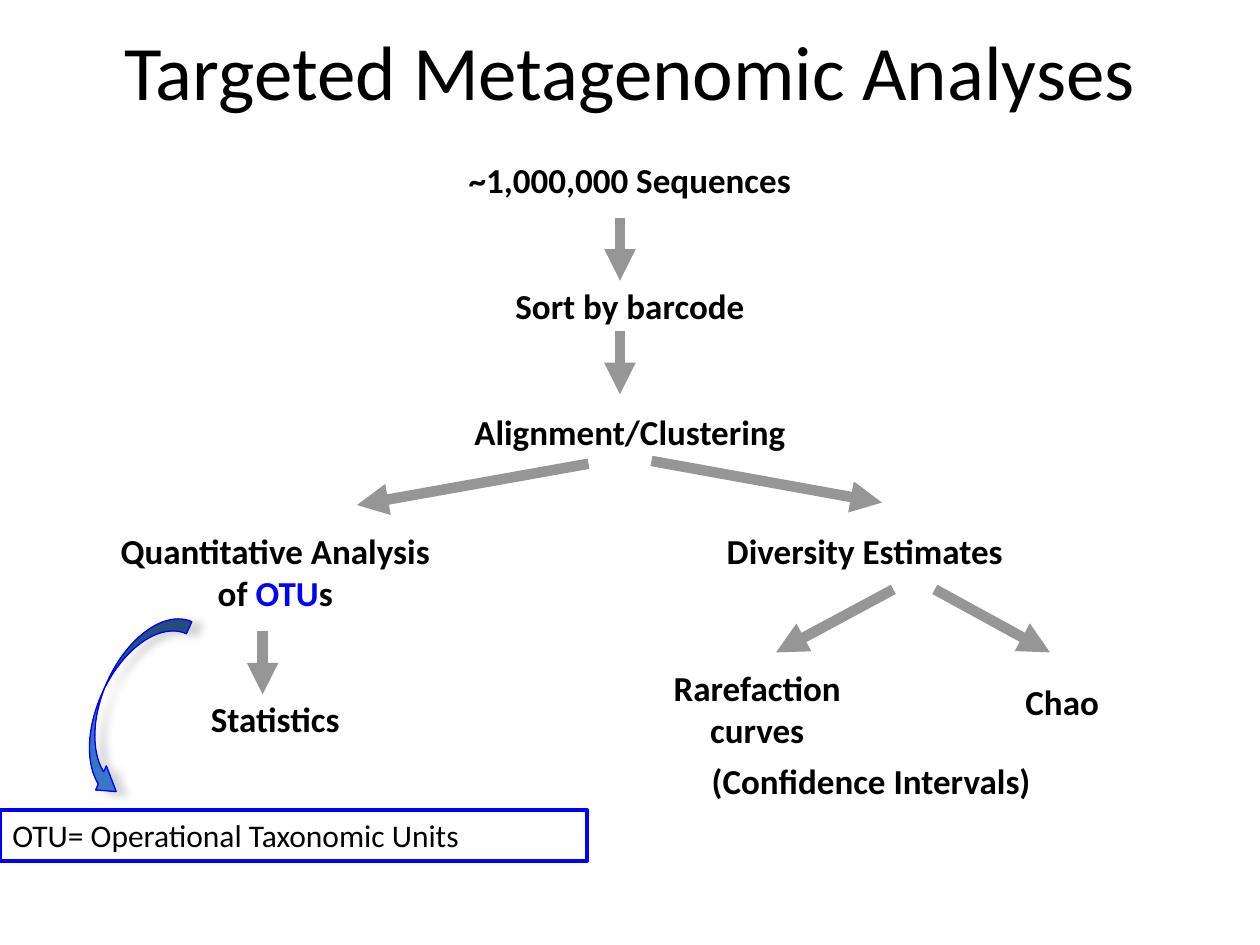
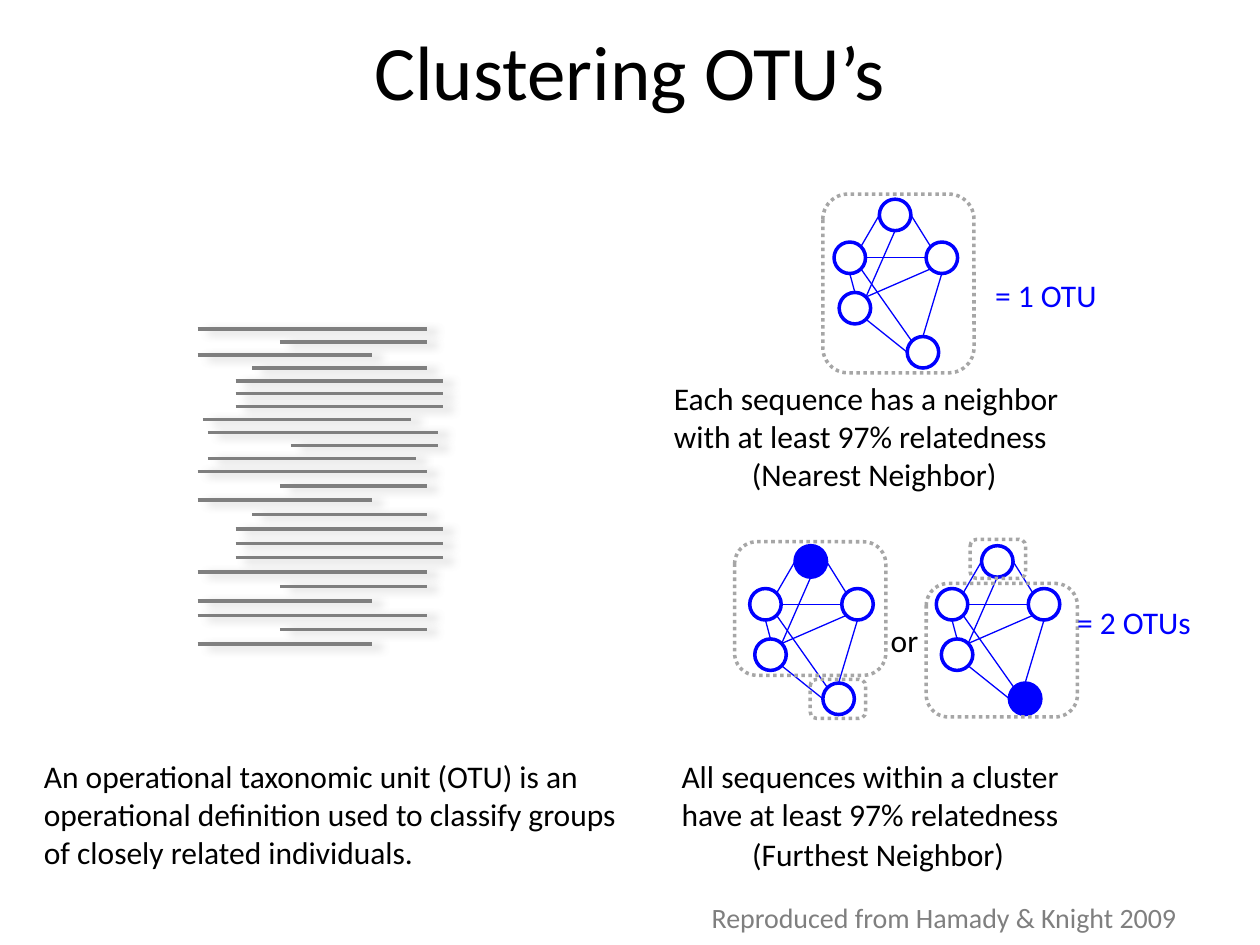
from dataclasses import dataclass
from math import cos, radians, sin

from lxml import etree
from pptx import Presentation
from pptx.dml.color import RGBColor
from pptx.enum.dml import MSO_LINE
from pptx.enum.shapes import MSO_CONNECTOR, MSO_SHAPE
from pptx.enum.text import MSO_ANCHOR, PP_ALIGN
from pptx.oxml.ns import qn
from pptx.util import Pt

LEFT, CENTER = PP_ALIGN.LEFT, PP_ALIGN.CENTER
TOP = MSO_ANCHOR.TOP
STRAIGHT = MSO_CONNECTOR.STRAIGHT
RECT, ROUNDED = MSO_SHAPE.RECTANGLE, MSO_SHAPE.ROUNDED_RECTANGLE
OVAL, CURVED_ARROW = MSO_SHAPE.OVAL, MSO_SHAPE.CURVED_RIGHT_ARROW
DOTTED = MSO_LINE.ROUND_DOT


@dataclass(frozen=True)
class Theme:
    font: str = "Calibri"
    title: int = 44
    step: int = 20
    body: int = 18
    credit: int = 16
    text: str = "000000"
    accent: str = "0000FF"
    white: str = "FFFFFF"
    arrow: str = "969696"
    sequence: str = "7F7F7F"
    frame: str = "A6A6A6"
    shadow: str = "808080"
    gradient: tuple = ("2C5D98", "3A7CCB")


THEME = Theme()


# Shared drawing helpers, all lengths in points
def rgb(value):
    return RGBColor.from_string(value)


def set_effects(shape, shadow=None):
    """Replace inherited effects; shadow is (opacity %, blur, distance, angle)."""
    effects = etree.SubElement(shape._element.spPr, qn("a:effectLst"))
    if shadow:
        opacity, blur, distance, angle = shadow
        outer = etree.SubElement(
            effects, qn("a:outerShdw"), blurRad=str(Pt(blur)), dist=str(Pt(distance)),
            dir=str(angle * 60000), algn="ctr", rotWithShape="0")
        color = etree.SubElement(outer, qn("a:srgbClr"), val=THEME.shadow)
        etree.SubElement(color, qn("a:alpha"), val=str(opacity * 1000))


def add_line(slide, start, end, color, width, head=False, shadow=None):
    line = slide.shapes.add_connector(STRAIGHT, *(Pt(v) for v in (*start, *end)))
    line.line.color.rgb = rgb(color)
    line.line.width = Pt(width)
    if head:
        etree.SubElement(line.line._get_or_add_ln(), qn("a:tailEnd"), type="triangle")
    set_effects(line, shadow)


def add_outline(slide, kind, box, color, width, fill=None):
    shape = slide.shapes.add_shape(kind, *(Pt(v) for v in box))
    if fill:
        shape.fill.solid()
        shape.fill.fore_color.rgb = rgb(fill)
    else:
        shape.fill.background()
    shape.line.color.rgb = rgb(color)
    shape.line.width = Pt(width)
    shape.shadow.inherit = False
    return shape


def write(frame, paragraphs, size, color=THEME.text, bold=False, align=LEFT):
    """Each paragraph is (space before, runs); each run is text or (text, colour)."""
    frame.word_wrap = True
    frame.vertical_anchor = TOP
    for i, (gap, runs) in enumerate(paragraphs):
        paragraph = frame.paragraphs[0] if i == 0 else frame.add_paragraph()
        paragraph.alignment = align
        if gap:
            paragraph.space_before = Pt(gap)
        for item in runs:
            words, shade = (item, color) if isinstance(item, str) else item
            run = paragraph.add_run()
            run.text = words
            run.font.name = THEME.font
            run.font.size = Pt(size)
            run.font.bold = bold
            run.font.color.rgb = rgb(shade)


def add_text(slide, box, paragraphs, size, **style):
    textbox = slide.shapes.add_textbox(*(Pt(v) for v in box))
    write(textbox.text_frame, paragraphs, size, **style)


def lines(*texts):
    return [(0, [text]) for text in texts]


def add_title(slide, text):
    add_text(slide, (36, 10, 648, 113), lines(text), THEME.title, align=CENTER)


# Slide 1: workflow
STEP_GAP = 48


def add_steps(slide, box, paragraphs):
    add_text(slide, box, paragraphs, THEME.step, bold=True, align=CENTER)


def add_arrows(slide, x, y, arrows):
    for x1, y1, x2, y2 in arrows:
        add_line(slide, (x + x1, y + y1), (x + x2, y + y2), THEME.arrow, 6, head=True)


def draw_pipeline(slide, x, y):
    add_steps(slide, (x, y, 272, 199), [
        (0, ["~1,000,000 Sequences"]),
        (STEP_GAP, ["Sort by barcode"]),
        (STEP_GAP, ["Alignment/Clustering"]),
    ])
    add_arrows(slide, x, y, [
        (130.3, 37.4, 130.3, 73.4), (130.3, 102.3, 130.3, 138.3),
        (112.3, 178, -20, 201.6), (148.3, 176.4, 280, 200.2),
    ])


def draw_quantitative_branch(slide, x, y):
    add_steps(slide, (x, y, 257, 151), [
        (0, ["Quantitative Analysis"]),
        (0, ["of ", ("OTU", THEME.accent), "s"]),
        (STEP_GAP, ["Statistics"]),
    ])
    add_arrows(slide, x, y, [(121.3, 62, 121.3, 98)])


def draw_diversity_branch(slide, x, y):
    for box, texts in (
        ((48.2, 0, 234, 32), ["Diversity Estimates"]),
        ((0, 78.5, 145.4, 55), ["Rarefaction", "curves"]),
        ((218.9, 86.4, 70.6, 32), ["Chao"]),
        ((39.6, 131.8, 265.7, 32), ["(Confidence Intervals)"]),
    ):
        dx, dy, width, height = box
        align = CENTER if len(texts) > 1 else LEFT
        add_text(slide, (x + dx, y + dy, width, height), lines(*texts),
                 THEME.step, bold=True, align=align)
    add_arrows(slide, x, y, [(150.5, 38, 83.5, 74), (174.2, 38, 240, 74)])


def draw_otu_definition(slide, x, y):
    definition = add_outline(slide, RECT, (x, y, 335.5, 29), THEME.accent, 2.25)
    write(definition.text_frame, lines("OTU= Operational Taxonomic Units"), THEME.body)

    # Curved arrow from the term to its definition
    pointer = slide.shapes.add_shape(
        CURVED_ARROW, Pt(x + 57.6), Pt(y - 118.8), Pt(30.2), Pt(113.8))
    pointer.rotation = 24
    for i, value in enumerate((0.25, 0.5, 0.367)):
        pointer.adjustments[i] = value
    pointer.fill.gradient()
    pointer.fill.gradient_angle = 270
    for stop, color in zip(pointer.fill.gradient_stops, THEME.gradient):
        stop.color.rgb = rgb(color)
    pointer.line.color.rgb = rgb(THEME.accent)
    pointer.line.width = Pt(0.75)
    set_effects(pointer, (35, 5, 6, 18))


def build_workflow(slide):
    draw_pipeline(slide, 224, 87)
    draw_quantitative_branch(slide, 28.8, 298.8)
    draw_diversity_branch(slide, 360, 298.8)
    draw_otu_definition(slide, 0, 463)
    add_title(slide, "Targeted Metagenomic Analyses")


# Slide 2: clustering
LONG, RIGHT_END, LEFT_END = (0, 131), (47, 131), (0, 99.4)
SHIFTED = (21.6, 140.4)
OPENING = [LONG, RIGHT_END, LEFT_END, (31, 131)] + [SHIFTED] * 3
UPPER_READS = OPENING + [(3, 121.7), (5.8, 137.5), (53.3, 137.5), (5.8, 124.6)]
LOWER_READS = OPENING + [LONG, RIGHT_END, LEFT_END] * 2

NODE = 18
NODES = {"left": (0, 24.5), "low": (2.9, 53.3), "top": (25.9, 0),
         "bottom": (41.8, 78.5), "right": (52.6, 24.5)}
# Each end is a node and the angle, counterclockwise from east, where the edge meets it
EDGES = [
    ("left", 315, "bottom", 135), ("low", 90, "left", 270), ("left", 45, "top", 180),
    ("top", 270, "low", 45), ("top", 0, "right", 135), ("right", 270, "bottom", 90),
    ("left", 0, "right", 180), ("low", 315, "bottom", 180), ("low", 45, "right", 225),
]


def draw_reads(slide, x, y):
    for reads, pitch in ((UPPER_READS, 7.4), (LOWER_READS, 8.22)):
        for start, end in reads:
            add_line(slide, (x + start, y), (x + end, y), THEME.sequence, 2,
                     shadow=(38, 5, 5.9, 16))
            y += pitch


def draw_network(slide, x, y, filled=None):
    for name, (dx, dy) in NODES.items():
        fill = THEME.accent if name == filled else THEME.white
        add_outline(slide, OVAL, (x + dx, y + dy, NODE, NODE), THEME.accent, 2, fill)

    def rim(name, angle):
        dx, dy = NODES[name]
        radius, turn = NODE / 2, radians(angle)
        return x + dx + radius * (1 + cos(turn)), y + dy + radius * (1 - sin(turn))

    for first, first_angle, second, second_angle in EDGES:
        add_line(slide, rim(first, first_angle), rim(second, second_angle),
                 THEME.accent, 0.75)


def draw_cluster_frame(slide, x, y, width, height):
    frame = add_outline(slide, ROUNDED, (x, y, width, height), THEME.frame, 2)
    frame.line.dash_style = DOTTED


def draw_nearest_neighbor(slide, x, y):
    draw_network(slide, x + 98.6, y + 2.9)
    draw_cluster_frame(slide, x + 92.2, y, 86.4, 102.2)
    add_text(slide, (x + 183.6, y + 43.2, 91, 29), lines("= 1 OTU"),
             THEME.body, color=THEME.accent)
    add_text(slide, (x, y + 102.2, 290, 50),
             lines("Each sequence has a neighbor", "with at least 97% relatedness"),
             THEME.body)
    add_text(slide, (x + 44.6, y + 145.4, 186, 29), lines("(Nearest Neighbor)"),
             THEME.body)


def draw_furthest_neighbor(slide, x, y):
    draw_network(slide, x + 46, y + 3.6, filled="top")
    draw_network(slide, x + 152.6, y + 3.6, filled="bottom")
    for box in ((37.4, 1.4, 86.4, 76.3), (146.9, 25.2, 86.4, 76.3),
                (80.6, 80, 31.7, 22.3), (172, 0, 31.7, 22.3)):
        draw_cluster_frame(slide, x + box[0], y + box[1], *box[2:])
    add_text(slide, (x + 119.5, y + 43.2, 33, 29), lines("or"), THEME.body)
    add_text(slide, (x + 226, y + 33, 100, 29), lines("= 2 OTUs"),
             THEME.body, color=THEME.accent)
    add_text(slide, (x, y + 121, 288, 50),
             lines("All sequences within a cluster", "have at least 97% relatedness"),
             THEME.body)
    add_text(slide, (x + 40.3, y + 165.6, 192, 29), lines("(Furthest Neighbor)"),
             THEME.body)


def build_clustering(slide):
    draw_reads(slide, 113, 188)
    draw_nearest_neighbor(slide, 378, 110.9)
    draw_furthest_neighbor(slide, 382.4, 308.2)
    add_text(slide, (399.6, 511.2, 310, 27),
             lines("Reproduced from Hamady & Knight 2009"),
             THEME.credit, color=THEME.sequence)
    add_title(slide, "Clustering OTU’s")
    add_text(slide, (18, 429, 360, 73), lines(
        "An operational taxonomic unit (OTU) is an operational definition used to "
        "classify groups of closely related individuals."), THEME.body)


def main():
    deck = Presentation()
    deck.slide_width, deck.slide_height = Pt(720), Pt(540)
    for build in (build_workflow, build_clustering):
        build(deck.slides.add_slide(deck.slide_layouts[6]))
    deck.save("out.pptx")


if __name__ == "__main__":
    main()
